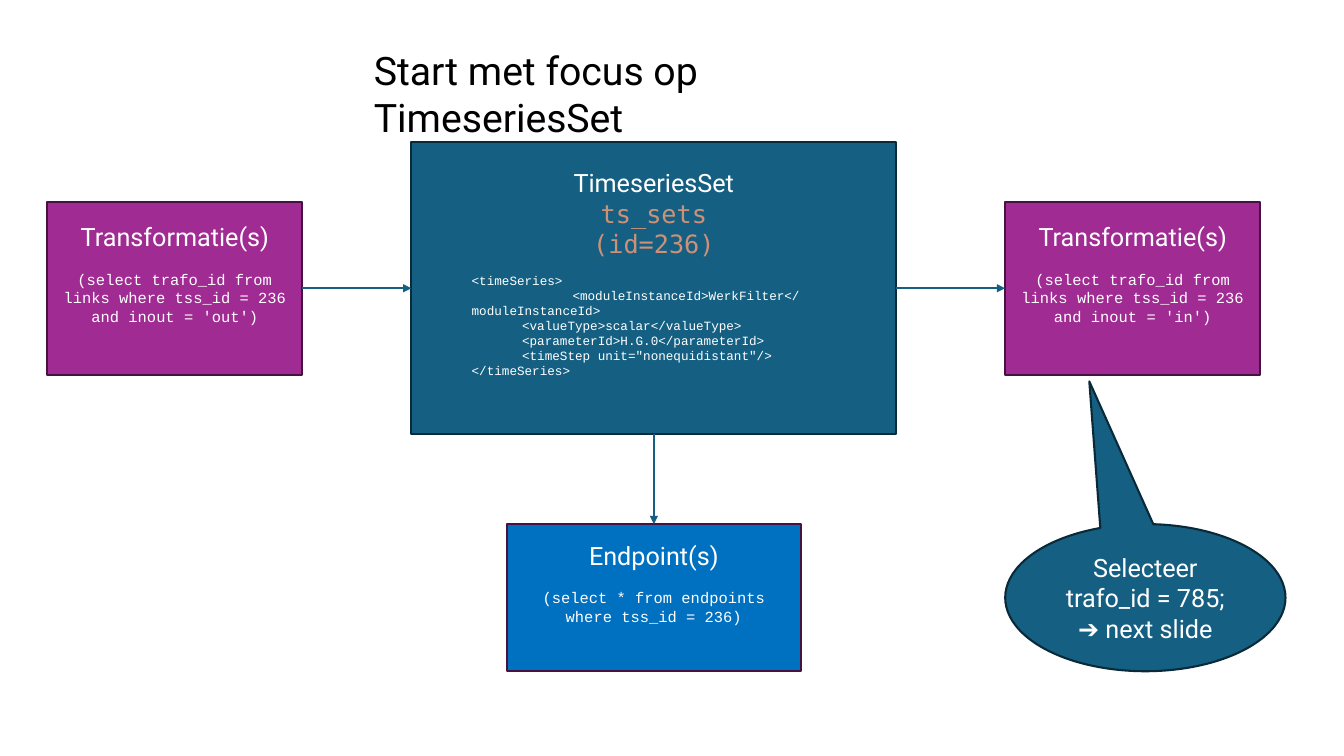
from pptx import Presentation
from pptx.dml.color import RGBColor
from pptx.enum.shapes import MSO_CONNECTOR, MSO_SHAPE
from pptx.enum.text import MSO_ANCHOR, PP_ALIGN
from pptx.oxml.ns import qn
from pptx.util import Inches, Pt
from lxml.etree import SubElement

COLORS = {
    "teal": "156082", "teal_edge": "092A39",
    "purple": "A02B93", "plum_edge": "461340",
    "blue": "0070C0", "orange": "CE9178",
    "white": "FFFFFF", "black": "000000",
}
SANS, MONO, CODE = "Roboto", "DejaVu Sans Mono", "Courier New"
CENTER_X, FLOW_Y, LOWER_Y = 6.485, 2.86, 5.93
TRAILING_SPACE = 0.35


def rgb(name):
    return RGBColor.from_string(COLORS[name])


def add_block(preset, center_x, center_y, width, height, fill, edge, lines, bottom=0.05):
    """Add a filled shape; each line is (text, size, font, color, space before)."""
    block = slide.shapes.add_shape(
        preset, Inches(center_x - width / 2), Inches(center_y - height / 2),
        Inches(width), Inches(height))
    block.shadow.inherit = False
    block.fill.solid()
    block.fill.fore_color.rgb = rgb(fill)
    block.line.color.rgb = rgb(edge)
    block.line.width = Pt(1.5)
    frame = block.text_frame
    frame.word_wrap = True
    frame.vertical_anchor = MSO_ANCHOR.MIDDLE
    frame.margin_bottom = Inches(bottom)
    frame.text = "\n".join(line[0] for line in lines)
    for paragraph, (_, size, font, color, before) in zip(frame.paragraphs, lines):
        paragraph.alignment = PP_ALIGN.CENTER
        if before:
            paragraph.space_before = Pt(before)
        run_font = paragraph.runs[0].font
        run_font.size, run_font.name = Pt(size), font
        run_font.color.rgb = rgb(color)
    return block


prs = Presentation()
prs.slide_width, prs.slide_height = Inches(13.33), Inches(7.5)
slide = prs.slides.add_slide(prs.slide_layouts[6])

# Central time series set; XML lines carry left and first-line indents
xml_lines = [
    ("<timeSeries>", 0.5, 0),
    ("<moduleInstanceId>WerkFilter</moduleInstanceId>", 0.5, 1),
    ("<valueType>scalar</valueType>", 1, 0),
    ("<parameterId>H.G.0</parameterId>", 1, 0),
    ('<timeStep unit="nonequidistant"/>', 1, 0),
    ("</timeSeries>", 0.5, 0),
]
set_lines = [
    ("TimeseriesSet", 18, SANS, "white", 0),
    ("ts_sets", 18, MONO, "orange", 0),
    ("(id=236)", 18, MONO, "orange", 0),
]
set_lines += [(text, 9, CODE, "white", 0 if i else 10)
              for i, (text, _, _) in enumerate(xml_lines)]
timeseries_set = add_block(MSO_SHAPE.RECTANGLE, CENTER_X, FLOW_Y, 4.81, 2.9,
                           "teal", "teal_edge", set_lines, TRAILING_SPACE)
for paragraph, (_, left, first) in zip(timeseries_set.text_frame.paragraphs[3:], xml_lines):
    paragraph.alignment = PP_ALIGN.LEFT
    properties = paragraph._p.get_or_add_pPr()
    properties.set("marL", str(Inches(left)))
    properties.set("indent", str(Inches(first)))

# Title
title = slide.shapes.add_textbox(Inches(3.61), Inches(0.41), Inches(5.74), Inches(0.57))
title.text_frame.word_wrap = True
title.text_frame.text = "Start met focus op TimeseriesSet"
title_font = title.text_frame.paragraphs[0].runs[0].font
title_font.size, title_font.name = Pt(28), SANS
title_font.color.rgb = rgb("black")

# Transformations on both sides and endpoints below
neighbours = [
    ("Transformatie(s)", "(select trafo_id from links where tss_id = 236 and inout = 'out')",
     CENTER_X - 4.75, FLOW_Y, 2.53, 1.72, "purple"),
    ("Transformatie(s)", "(select trafo_id from links where tss_id = 236 and inout = 'in')",
     CENTER_X + 4.75, FLOW_Y, 2.53, 1.72, "purple"),
    ("Endpoint(s)", "(select * from endpoints where tss_id = 236)",
     CENTER_X, LOWER_Y, 2.92, 1.46, "blue"),
]
inflow, outflow, endpoints = [
    add_block(MSO_SHAPE.RECTANGLE, x, y, width, height, fill, "plum_edge",
              [(heading, 18, SANS, "white", 0), (query, 11, CODE, "white", 13)],
              TRAILING_SPACE)
    for heading, query, x, y, width, height, fill in neighbours
]

# Arrows; connection sites are 0 top, 1 left, 2 bottom, 3 right
for source, source_site, target, target_site in [
    (inflow, 3, timeseries_set, 1),
    (timeseries_set, 2, endpoints, 0),
    (timeseries_set, 3, outflow, 1),
]:
    arrow = slide.shapes.add_connector(MSO_CONNECTOR.STRAIGHT, 0, 0, 0, 0)
    arrow.begin_connect(source, source_site)
    arrow.end_connect(target, target_site)
    arrow.line.color.rgb = rgb("teal")
    arrow.line.width = Pt(1.5)
    SubElement(arrow.line._get_or_add_ln(), qn("a:tailEnd"), type="triangle")
    SubElement(arrow._element.spPr, qn("a:effectLst"))

# Callout pointing at the outgoing transformation
callout = add_block(MSO_SHAPE.OVAL_CALLOUT, 11.36, LOWER_Y, 2.78, 1.46, "teal", "teal_edge",
                    [("Selecteer trafo_id = 785;", 18, SANS, "white", 0),
                     ("➔ next slide", 18, SANS, "white", 0)])
callout.adjustments[0] = -0.2
callout.adjustments[1] = -1.47

prs.save("out.pptx")
